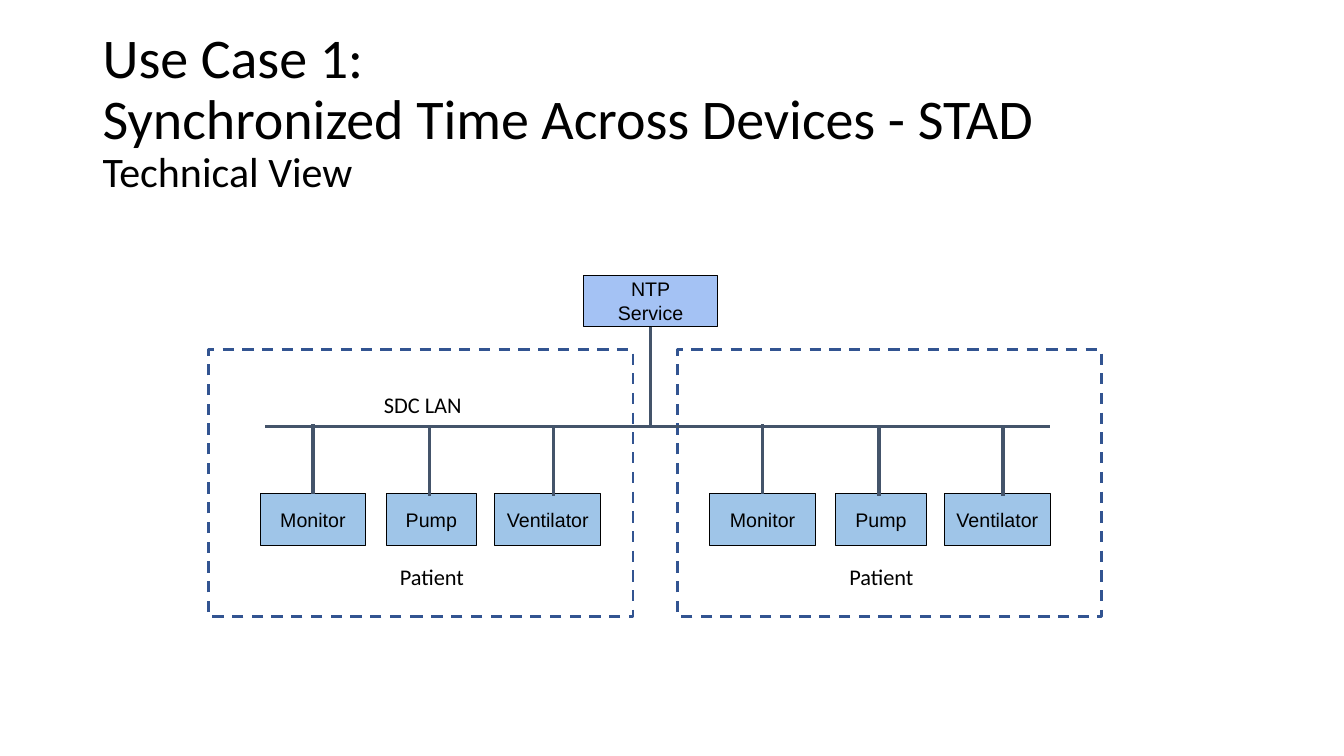
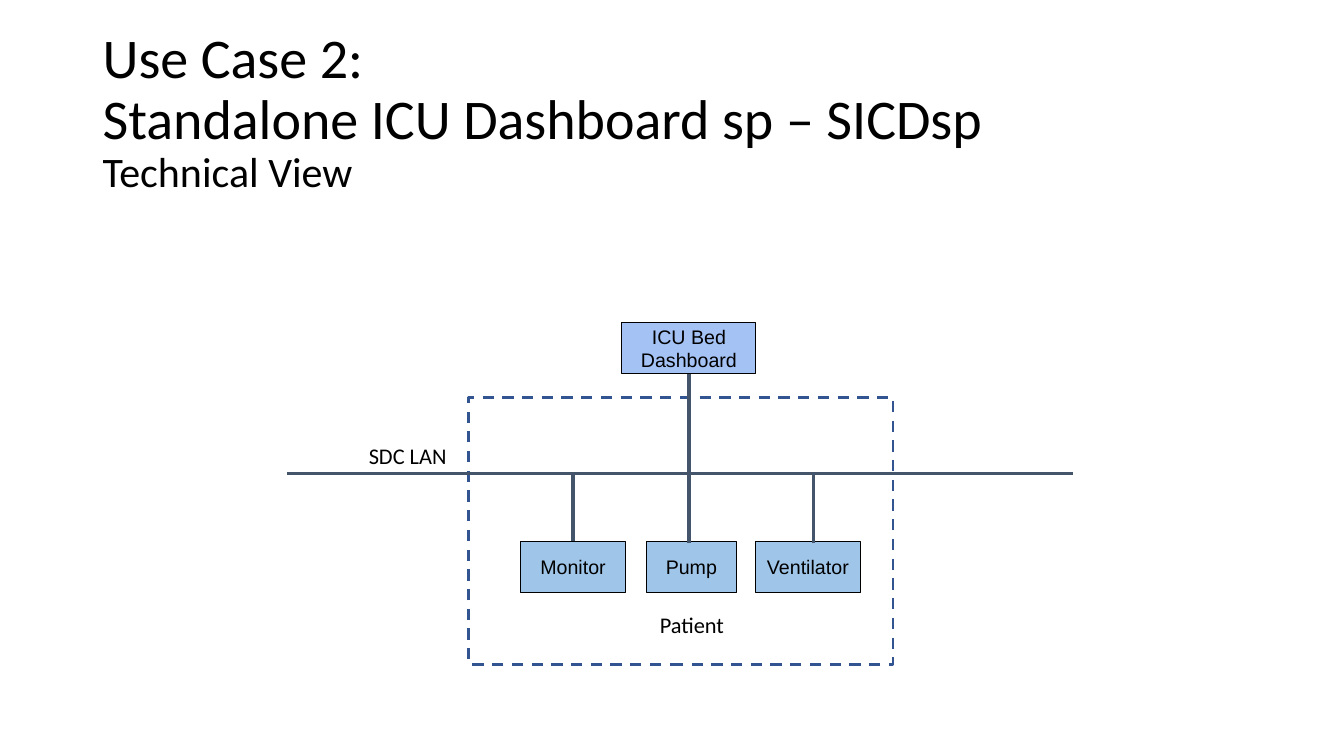
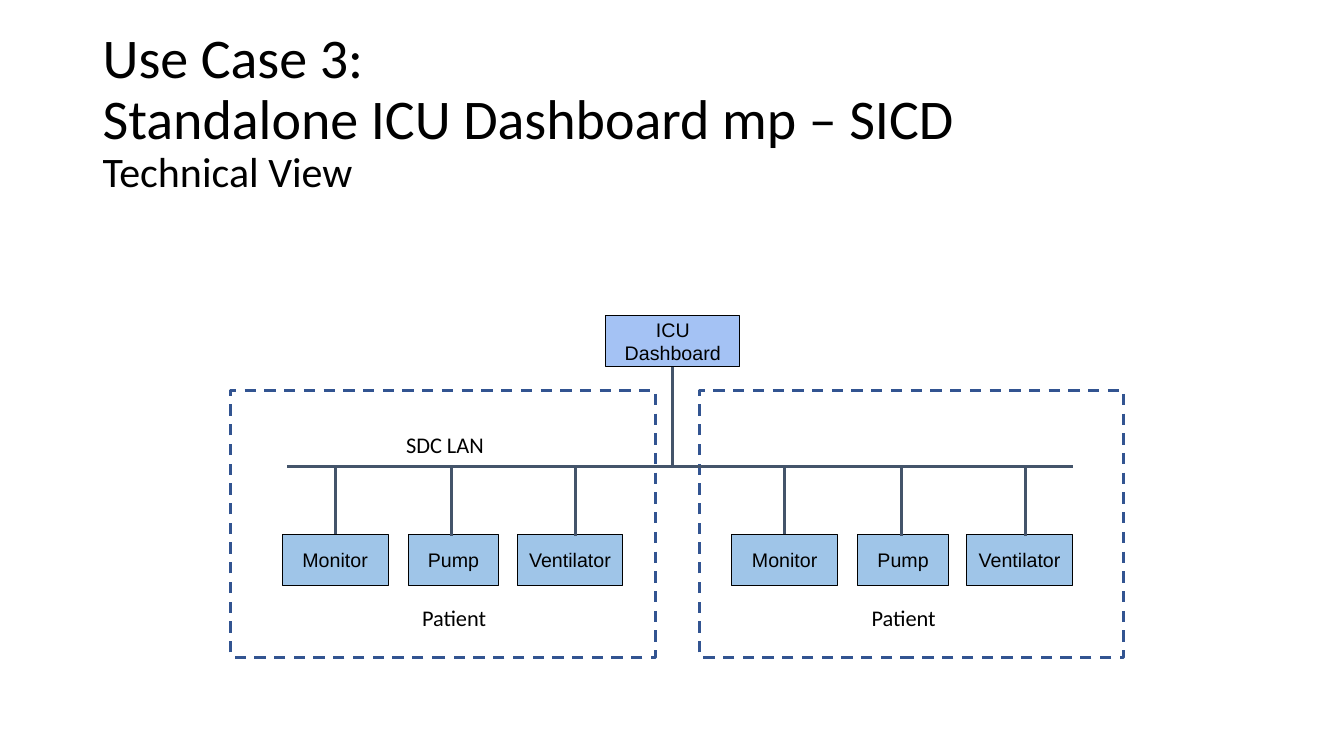
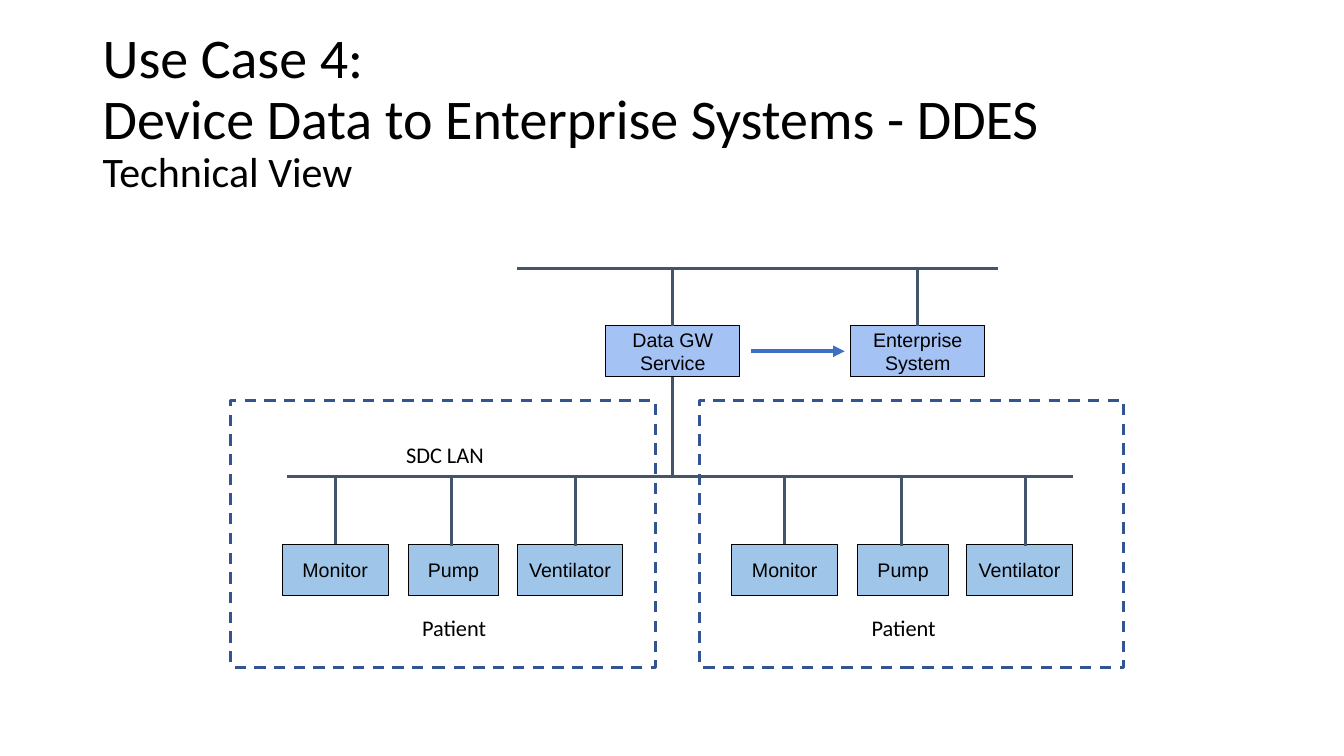
from dataclasses import dataclass
from typing import Optional

from lxml.etree import SubElement
from pptx import Presentation
from pptx.dml.color import RGBColor as RGB
from pptx.enum.dml import MSO_LINE_DASH_STYLE as Dash
from pptx.enum.shapes import MSO_CONNECTOR as Conn, MSO_SHAPE as Shape
from pptx.enum.text import MSO_ANCHOR as Anchor, PP_ALIGN as Align
from pptx.oxml.ns import qn
from pptx.util import Emu, Inches, Pt

CELL = Inches(0.1)
COLUMNS, ROWS = 133.33, 75
TOP, BOTTOM = 0, 2


@dataclass(frozen=True)
class TextStyle:
    font: str
    size: float
    align: Align = Align.LEFT
    anchor: Anchor = Anchor.TOP
    inset: float = 0.5
    spacing: float = 1.0


@dataclass(frozen=True)
class LineStyle:
    color: str
    width: float
    dash: Optional[Dash] = None
    arrow: bool = False


@dataclass(frozen=True)
class Theme:
    text: str = "000000"
    service: str = "A4C2F4"
    device: str = "9FC5E8"
    title: TextStyle = TextStyle("Calibri", 40, anchor=Anchor.MIDDLE, spacing=0.9)
    subtitle_size: float = 30
    label: TextStyle = TextStyle("Calibri", 16)
    centred: TextStyle = TextStyle("Calibri", 16, Align.CENTER)
    box: TextStyle = TextStyle("Arial", 14, Align.CENTER, Anchor.MIDDLE, 1)
    border: LineStyle = LineStyle("000000", 0.75)
    network: LineStyle = LineStyle("44546A", 2.25)
    patient: LineStyle = LineStyle("325491", 2, Dash.DASH)
    flow: LineStyle = LineStyle("3F6FC3", 2.75, arrow=True)


@dataclass(frozen=True)
class Device:
    name: str
    left: float
    width: float
    drop: Optional[float] = None


@dataclass(frozen=True)
class UseCase:
    title: str
    service: str
    left: float
    top: float
    patients: int = 2
    service_left: float = 37.2
    bus_left: float = 5.6
    lan_left: float = 16.4
    lan_top: float = 3.6
    enterprise: Optional[str] = None


THEME = Theme()
DEVICES = (
    Device("Monitor", 5.1, 10.5),
    Device("Pump", 17.6, 9, 4.3),
    Device("Ventilator", 28.4, 10.5, 5.8),
)
FRAME_WIDTH, FRAME_HEIGHT, FRAME_PITCH = 42.1, 26.5, 46.5
DEVICE_PITCH, DEVICE_TOP = 44.6, 14.3
SERVICE_WIDTH, BOX_HEIGHT, SERVICE_RISE = 13.3, 5.1, 7.4
BUS_TOP, BUS_WIDTH = 7.6, 77.9
ENTERPRISE_LEFT = 61.5
UPPER_LEFT, UPPER_WIDTH, UPPER_RISE = 28.4, 47.7, 13.1

USE_CASES = (
    UseCase("Synchronized Time Across Devices - STAD", "NTP\nService", 20.7, 34.7),
    UseCase("Standalone ICU Dashboard sp – SICDsp", "ICU Bed Dashboard", 46.5, 39.4,
            patients=1, service_left=15.2, bus_left=-18, lan_left=-10.9, lan_top=4),
    UseCase("Standalone ICU Dashboard mp – SICD", "ICU Dashboard", 22.9, 38.7),
    UseCase("Device Data to Enterprise Systems - DDES", "Data GW Service", 22.9, 39.7,
            enterprise="Enterprise System"),
)


def cells(*values: float) -> list[Emu]:
    return [Emu(round(v * CELL)) for v in values]


def write(tf, lines: list[tuple[str, float]], style: TextStyle) -> None:
    side, = cells(style.inset * 2 if style.inset < 1 else style.inset)
    edge, = cells(style.inset)
    frame_format = {"word_wrap": True, "vertical_anchor": style.anchor,
                    "margin_left": side, "margin_right": side,
                    "margin_top": edge, "margin_bottom": edge}
    for name, value in frame_format.items():
        setattr(tf, name, value)
    p = tf.paragraphs[0]
    p.alignment, p.line_spacing = style.align, style.spacing
    for i, (text, size) in enumerate(lines):
        if i:
            p.add_line_break()
        r = p.add_run()
        r.text = text
        for name, value in {"name": style.font, "size": Pt(size)}.items():
            setattr(r.font, name, value)
        r.font.color.rgb = RGB.from_string(THEME.text)


def add_label(s, text: str, at: tuple, style: TextStyle) -> None:
    write(s.shapes.add_textbox(*cells(*at)).text_frame, [(text, style.size)], style)


def set_line(line, style: LineStyle) -> None:
    line.color.rgb = RGB.from_string(style.color)
    for name, value in {"width": Pt(style.width), "dash_style": style.dash}.items():
        setattr(line, name, value)


def add_rect(s, at: tuple, line: LineStyle, fill: Optional[str] = None, text: str = ""):
    sp = s.shapes.add_shape(Shape.RECTANGLE, *cells(*at))
    sp.shadow.inherit = False
    set_line(sp.line, line)
    if fill:
        sp.fill.solid()
        sp.fill.fore_color.rgb = RGB.from_string(fill)
    else:
        sp.fill.background()
    if text:
        write(sp.text_frame, [(t, THEME.box.size) for t in text.split("\n")], THEME.box)
    return sp


def add_line(s, start: tuple, end: tuple, style: LineStyle = THEME.network):
    c = s.shapes.add_connector(Conn.STRAIGHT, *cells(*start, *end))
    set_line(c.line, style)
    props = c.element.spPr
    if style.arrow:
        SubElement(props.find(qn("a:ln")), qn("a:tailEnd"), type="triangle")
    SubElement(props, qn("a:effectLst"))
    return c


def join(s, box, site: int, end_row: float) -> None:
    x = (box.left + box.width // 2) / CELL
    y = (box.top + (box.height if site == BOTTOM else 0)) / CELL
    add_line(s, (x, y), (x, end_row)).begin_connect(box, site)


def add_title(s, number: int, title: str) -> None:
    tf = s.shapes.add_textbox(*cells(9.2, 4, 115, 14.5)).text_frame
    size = THEME.title.size
    write(tf, [(f"Use Case {number}:", size), (title, size),
               ("Technical View", THEME.subtitle_size)], THEME.title)


def add_devices(s, left: float, top: float, skip_drop: str) -> None:
    row, bus = top + DEVICE_TOP, top + BUS_TOP
    for d in DEVICES:
        x = left + d.left
        box = add_rect(s, (x, row, d.width, BOX_HEIGHT), THEME.border, THEME.device, d.name)
        if d.drop is None:
            join(s, box, TOP, bus - 0.2)
        elif d.name != skip_drop:
            add_line(s, (x + d.drop, row + 0.2), (x + d.drop, bus - 0.1))
    add_label(s, "Patient", (left + 13.5, top + 20.7, 17.3, 3.7), THEME.centred)


def add_enterprise(s, case: UseCase, service) -> None:
    row, upper = case.top - SERVICE_RISE, case.top - UPPER_RISE
    x = case.left + ENTERPRISE_LEFT
    system = add_rect(s, (x, row, SERVICE_WIDTH, BOX_HEIGHT),
                      THEME.border, THEME.service, case.enterprise)
    for box in (service, system):
        join(s, box, TOP, upper)
    start = case.left + UPPER_LEFT
    add_line(s, (start, upper), (start + UPPER_WIDTH, upper))
    middle = row + BOX_HEIGHT / 2
    service_right = case.left + case.service_left + SERVICE_WIDTH
    add_line(s, (service_right + 1.1, middle), (x - 0.6, middle), THEME.flow)


def add_use_case(prs, number: int, case: UseCase) -> None:
    s = prs.slides.add_slide(prs.slide_layouts[6])
    add_title(s, number, case.title)
    bus = case.top + BUS_TOP
    service = add_rect(s, (case.left + case.service_left, case.top - SERVICE_RISE,
                           SERVICE_WIDTH, BOX_HEIGHT),
                       THEME.border, THEME.service, case.service)
    single = case.patients == 1
    for i in range(case.patients):
        add_devices(s, case.left + i * DEVICE_PITCH, case.top, "Pump" if single else "")
        add_rect(s, (case.left + i * FRAME_PITCH, case.top, FRAME_WIDTH, FRAME_HEIGHT),
                 THEME.patient)
    start = case.left + case.bus_left
    add_line(s, (start, bus), (start + BUS_WIDTH, bus))
    join(s, service, BOTTOM, case.top + DEVICE_TOP + 0.2 if single else bus + 0.1)
    add_label(s, "SDC LAN", (case.left + case.lan_left, case.top + case.lan_top, 22.9, 3.7),
              THEME.label)
    if case.enterprise:
        add_enterprise(s, case, service)


def main() -> None:
    prs = Presentation()
    prs.slide_width, prs.slide_height = cells(COLUMNS, ROWS)
    for number, case in enumerate(USE_CASES, 1):
        add_use_case(prs, number, case)
    prs.save("out.pptx")


if __name__ == "__main__":
    main()
